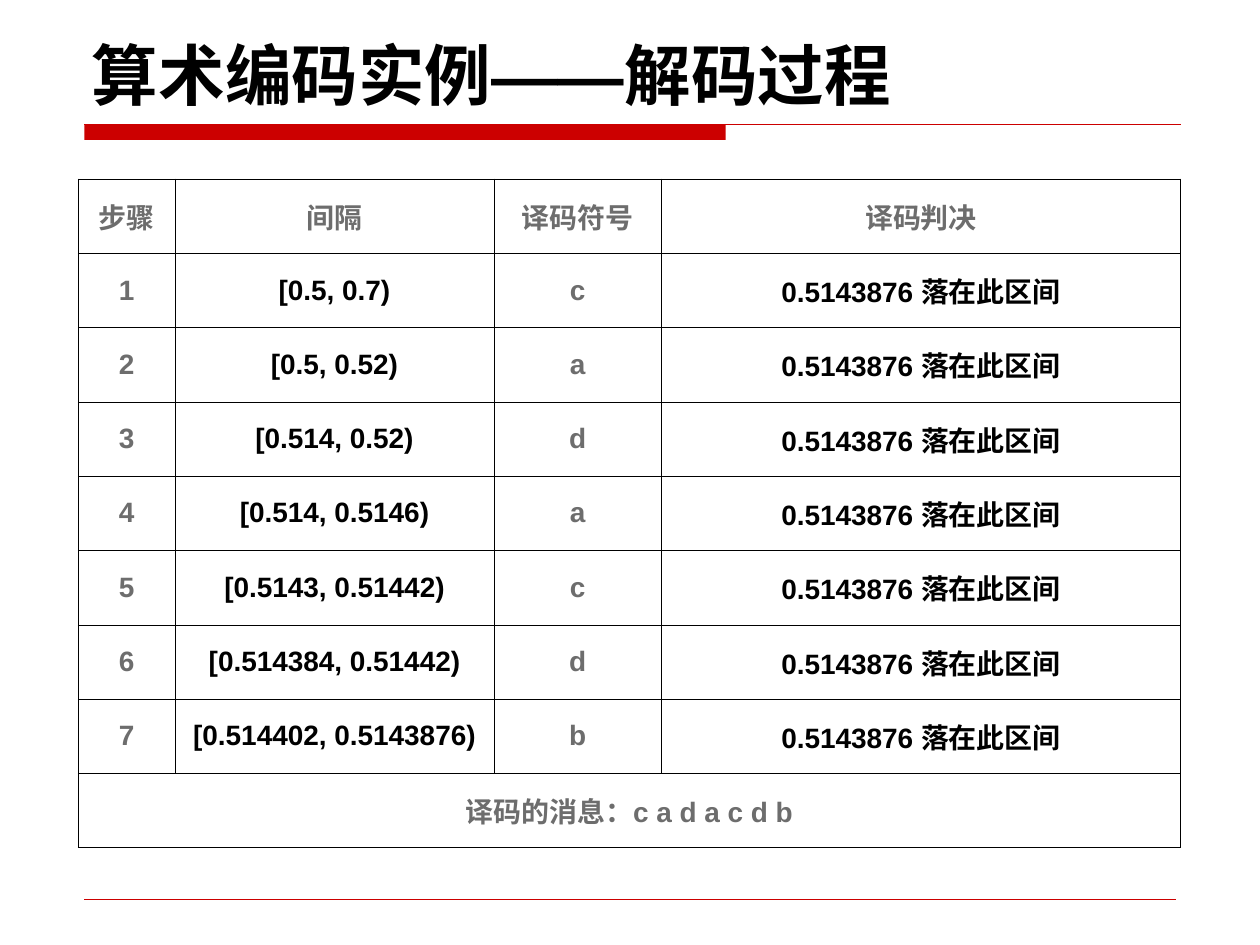
from typing import NamedTuple

from lxml.etree import SubElement
from pptx import Presentation
from pptx.dml.color import RGBColor
from pptx.enum.shapes import MSO_CONNECTOR, MSO_SHAPE
from pptx.enum.text import MSO_ANCHOR, MSO_AUTO_SIZE, PP_ALIGN
from pptx.oxml.ns import qn
from pptx.util import Inches, Pt

COLORS = {"ink": "000000", "muted": "6D6D6D", "accent": "CC0000"}
BODY_FONT = "Arial"
TITLE_FONT = "DejaVu Sans"


class Rule(NamedTuple):
    left: float
    right: float
    y: float
    weight: float


class Step(NamedTuple):
    interval: str
    symbol: str


TITLE_PARTS = [("算术编码实例", TITLE_FONT), ("——", BODY_FONT), ("解码过程", TITLE_FONT)]
RULES = [Rule(0.67, 9.37, 0.99, 0.75), Rule(0.67, 9.33, 7.14, 0.25)]
HEADINGS = ["步骤", "间隔", "译码符号", "译码判决"]
STEPS = [
    Step("[0.5, 0.7)", "c"),
    Step("[0.5, 0.52)", "a"),
    Step("[0.514, 0.52)", "d"),
    Step("[0.514, 0.5146)", "a"),
    Step("[0.5143, 0.51442)", "c"),
    Step("[0.514384, 0.51442)", "d"),
    Step("[0.514402, 0.5143876)", "b"),
]
DECISION = "0.5143876 落在此区间"
MESSAGE = "译码的消息：" + " ".join(step.symbol for step in STEPS)
COLUMN_WIDTHS = [0.77, 2.53, 1.33, 4.12]
ROW_HEIGHT = 0.59


def color(name: str) -> RGBColor:
    return RGBColor.from_string(COLORS[name])


def draw_rule(slide, rule: Rule) -> None:
    line = slide.shapes.add_connector(
        MSO_CONNECTOR.STRAIGHT, Inches(rule.left), Inches(rule.y),
        Inches(rule.right), Inches(rule.y))
    line.line.color.rgb = color("accent")
    line.line.width = Pt(rule.weight)
    SubElement(line._element.spPr, qn("a:effectLst"))


def draw_title(slide) -> None:
    title = slide.shapes.title
    title.left, title.top = Inches(0.63), Inches(0.13)
    title.width, title.height = Inches(8.75), Inches(0.82)
    frame = title.text_frame
    frame.auto_size = MSO_AUTO_SIZE.NONE
    frame.vertical_anchor = MSO_ANCHOR.BOTTOM
    paragraph = frame.paragraphs[0]
    paragraph.alignment = PP_ALIGN.LEFT
    for words, typeface in TITLE_PARTS:
        run = paragraph.add_run()
        run.text = words
        run.font.size = Pt(38)
        run.font.bold = True
        run.font.color.rgb = color("ink")
        run.font.name = typeface
        # East Asian characters take their own typeface
        SubElement(run._r.rPr, qn("a:ea"), typeface=typeface)


def add_borders(cell) -> None:
    properties = cell._tc.get_or_add_tcPr()
    for side in ("lnL", "lnR", "lnT", "lnB"):
        border = SubElement(properties, qn(f"a:{side}"), w=str(Pt(0.34)))
        fill = SubElement(border, qn("a:solidFill"))
        SubElement(fill, qn("a:srgbClr"), val=COLORS["ink"])


def fill_cell(cell, words: str, color_name: str) -> None:
    cell.text_frame.text = words
    cell.vertical_anchor = MSO_ANCHOR.MIDDLE
    paragraph = cell.text_frame.paragraphs[0]
    paragraph.alignment = PP_ALIGN.CENTER
    for run in paragraph.runs:
        run.font.size = Pt(16)
        run.font.bold = True
        run.font.name = BODY_FONT
        run.font.color.rgb = color(color_name)


def draw_steps_table(slide) -> None:
    rows = [HEADINGS]
    rows += [[str(number), step.interval, step.symbol, DECISION]
             for number, step in enumerate(STEPS, start=1)]
    message_row = len(rows)
    row_count = message_row + 1
    table = slide.shapes.add_table(
        row_count, len(HEADINGS), Inches(0.62), Inches(1.42),
        Inches(sum(COLUMN_WIDTHS)), Inches(ROW_HEIGHT * row_count)).table
    table.first_row = False
    table.horz_banding = False
    for column, width in zip(table.columns, COLUMN_WIDTHS):
        column.width = Inches(width)
    for row in table.rows:
        row.height = Inches(ROW_HEIGHT)
    for cell in table.iter_cells():
        add_borders(cell)
        cell.fill.background()

    # Intervals and decisions stand out in black below the headings
    for r, texts in enumerate(rows):
        for c, words in enumerate(texts):
            emphasized = r > 0 and c in (1, 3)
            fill_cell(table.cell(r, c), words, "ink" if emphasized else "muted")

    # Decoded message across the full width
    message = table.cell(message_row, 0)
    message.merge(table.cell(message_row, len(HEADINGS) - 1))
    fill_cell(message, MESSAGE, "muted")


def main() -> None:
    presentation = Presentation()
    presentation.slide_width, presentation.slide_height = Inches(10), Inches(7.5)
    slide = presentation.slides.add_slide(presentation.slide_layouts[5])

    # Red bar and thin rules
    bar = slide.shapes.add_shape(
        MSO_SHAPE.RECTANGLE, Inches(0.67), Inches(0.99), Inches(5.09), Inches(0.12))
    bar.shadow.inherit = False
    bar.fill.solid()
    bar.fill.fore_color.rgb = color("accent")
    bar.line.fill.background()
    for rule in RULES:
        draw_rule(slide, rule)

    draw_title(slide)
    draw_steps_table(slide)
    presentation.save("out.pptx")


if __name__ == "__main__":
    main()
